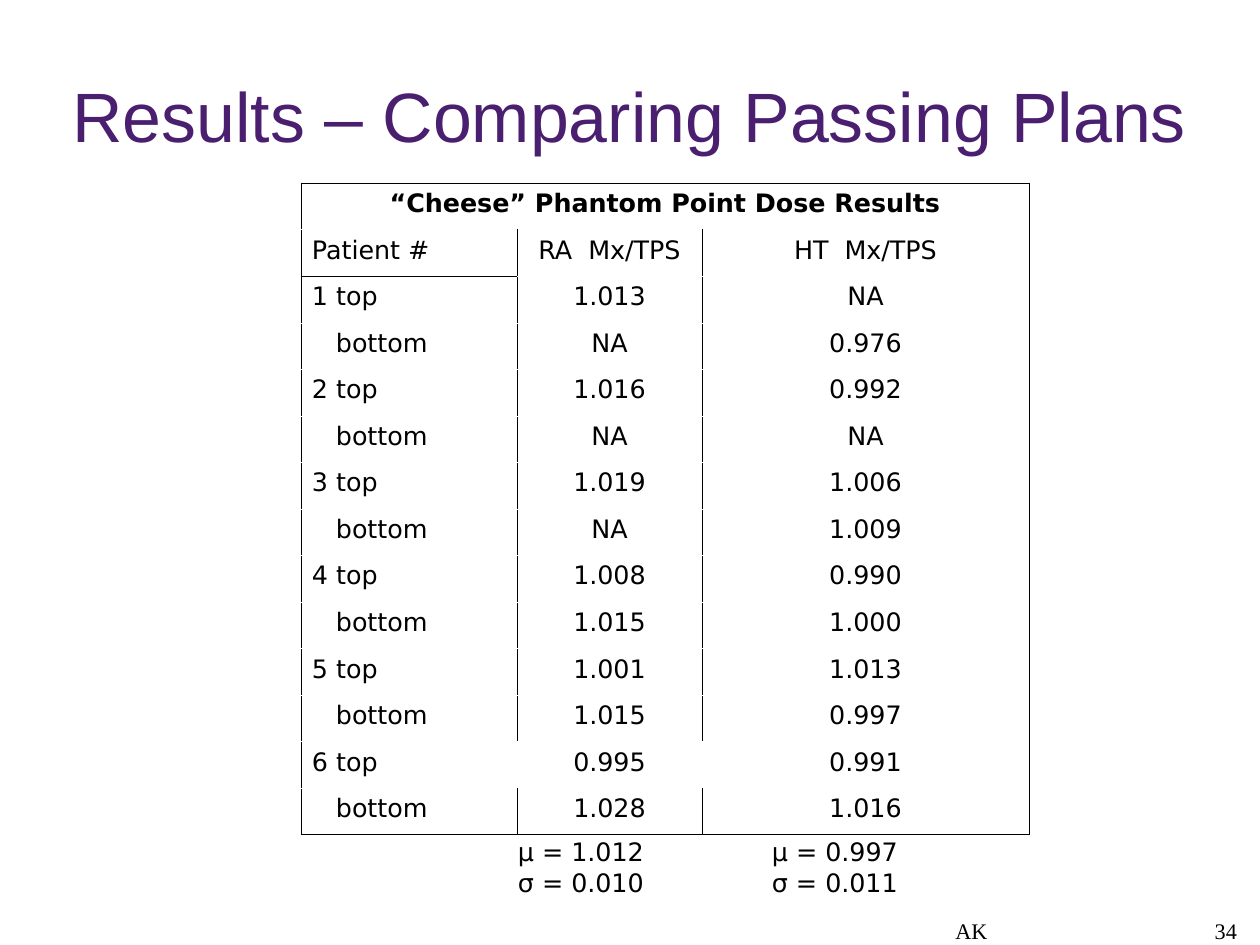
"""Build the slide comparing point dose results of passing plans."""
from dataclasses import dataclass

from lxml import etree
from pptx import Presentation
from pptx import util as u
from pptx.dml.color import RGBColor
from pptx.enum import text
from pptx.oxml import ns

PX = 8000
LEFT, CENTER, RIGHT = text.PP_ALIGN.LEFT, text.PP_ALIGN.CENTER, text.PP_ALIGN.RIGHT
TOP, MIDDLE, BOTTOM = text.MSO_ANCHOR.TOP, text.MSO_ANCHOR.MIDDLE, text.MSO_ANCHOR.BOTTOM

HEADING = "“Cheese” Phantom Point Dose Results"
COLUMNS = ["Patient #", "RA  Mx/TPS", "HT  Mx/TPS"]
DOSES = [
    ("1.013", "NA"), ("NA", "0.976"),
    ("1.016", "0.992"), ("NA", "NA"),
    ("1.019", "1.006"), ("NA", "1.009"),
    ("1.008", "0.990"), ("1.015", "1.000"),
    ("1.001", "1.013"), ("1.015", "0.997"),
    ("0.995", "0.991"), ("1.028", "1.016"),
]
SUMMARIES = [(507, "1.012", "0.010"), (761, "0.997", "0.011")]
FOOTERS = [(772, 399, "AK", CENTER), (943, 294, "34", RIGHT)]
UNDIVIDED_ROWS = (0, 12)


@dataclass(frozen=True)
class Theme:
    """Colours, fonts and type sizes of the slide."""
    ink: str = "000000"
    paper: str = "FFFFFF"
    accent: str = "4B1F6F"
    title: tuple = ("Arial", 44)
    body: tuple = ("DejaVu Sans", 16)
    footer: tuple = ("Times New Roman", 14)
    hairline: int = 762


def px(count):
    """Turn pixels into EMU."""
    return u.Emu(count * PX)


def apply(target, formats):
    """Set each attribute in a dict of format values."""
    for key, value in formats.items():
        setattr(target, key, value)


class DoseSlide:
    """Holds the theme and the current slide."""

    def __init__(self, deck, theme):
        """Add a title-only slide to the deck."""
        self.theme = theme
        self.slide = deck.slides.add_slide(deck.slide_layouts[5])

    def typeset(self, frame, lines, face, align, spacing, color=None, bold=False):
        """Fill a text frame with equally formatted lines."""
        name, size = face
        frame.text = "\n".join(lines)
        for line in frame.paragraphs:
            apply(line, {"alignment": align, "line_spacing": spacing})
            for run in line.runs:
                apply(run.font, {"name": name, "size": u.Pt(size), "bold": bold})
                run.font.color.rgb = RGBColor.from_string(color or self.theme.ink)

    def frame(self, shape, anchor, insets):
        """Set wrapping, anchor and insets of a shape's text."""
        sides = ("margin_left", "margin_top", "margin_right", "margin_bottom")
        apply(shape.text_frame, {
            "word_wrap": True, "auto_size": text.MSO_AUTO_SIZE.NONE,
            "vertical_anchor": anchor, **dict(zip(sides, map(px, insets)))})
        return shape.text_frame

    def title(self, wording, left, top, width, height):
        """Place and format the title placeholder."""
        heading = self.slide.shapes.title
        apply(heading, {"left": px(left), "top": px(top),
                        "width": px(width), "height": px(height)})
        self.typeset(self.frame(heading, MIDDLE, (0, 5, 0, 0)), [wording],
                     self.theme.title, CENTER, 0.93, self.theme.accent)

    def label(self, lines, area, face, align, anchor, insets, spacing):
        """Add a text box."""
        box = self.slide.shapes.add_textbox(*map(px, area))
        self.typeset(self.frame(box, anchor, insets), lines, face, align, spacing)

    def borders(self, cell, inked):
        """Draw the named sides in ink and the others in paper colour."""
        props = cell._tc.get_or_add_tcPr()
        for side in "LRTB":
            line = etree.SubElement(props, ns.qn(f"a:ln{side}"), w=str(self.theme.hairline))
            fill = etree.SubElement(line, ns.qn("a:solidFill"))
            color = self.theme.ink if side in inked else self.theme.paper
            etree.SubElement(fill, ns.qn("a:srgbClr"), val=color)

    def table(self, rows, left, top, widths, height):
        """Add the dose table with its merged heading row."""
        last_row, last_col = len(rows) - 1, len(widths) - 1
        area = map(px, (left, top, sum(widths), height))
        grid = self.slide.shapes.add_table(len(rows), len(widths), *area).table
        apply(grid, {"first_row": False, "horz_banding": False})
        for column, width in zip(grid.columns, widths):
            column.width = px(width)
        grid.cell(0, 0).merge(grid.cell(0, last_col))
        for r, row in enumerate(rows):
            grid.rows[r].height = px(height) // len(rows)
            divided = r not in UNDIVIDED_ROWS
            for c, value in enumerate(row):
                cell = grid.cell(r, c)
                edges = {
                    "L": c == 0 or divided,
                    "R": c == last_col or divided or cell.is_merge_origin,
                    "T": r == 0 or (r, c) == (2, 0),
                    "B": r == last_row or (r, c) == (1, 0),
                }
                self.borders(cell, [side for side, inked in edges.items() if inked])
                cell.fill.solid()
                cell.fill.fore_color.rgb = RGBColor.from_string(self.theme.paper)
                indent = 24 if value == "bottom" else 0
                apply(cell, {"margin_left": px(11 + indent), "margin_right": px(11),
                             "margin_top": px(6), "margin_bottom": px(6),
                             "vertical_anchor": TOP})
                if value:
                    align = LEFT if c == 0 and r > 0 else CENTER
                    self.typeset(cell.text_frame, [value], self.theme.body, align,
                                 1.01, bold=r == 0)


def main():
    """Compose and save the slide."""
    deck = Presentation()
    apply(deck, {"slide_width": px(1260), "slide_height": px(945)})
    theme = Theme()
    page = DoseSlide(deck, theme)
    for left, width, wording, align in FOOTERS:
        page.label([wording], (left, 880, width, 65), theme.footer, align, BOTTOM,
                   (0, 0, 0, 0), 0.95)
    page.title("Results – Comparing Passing Plans", 63, 38, 1134, 158)
    rows = [[HEADING, "", ""], COLUMNS]
    for index, doses in enumerate(DOSES):
        position = "bottom" if index % 2 else f"{index // 2 + 1} top"
        rows.append([position, *doses])
    page.table(rows, 301, 183, (216, 185, 327), 652)
    for left, mean, deviation in SUMMARIES:
        page.label([f"μ = {mean}", f"σ = {deviation}"], (left, 830, 172, 73),
                   theme.body, LEFT, TOP, (11, 6, 11, 6), 1.01)
    deck.save("out.pptx")


if __name__ == "__main__":
    main()
